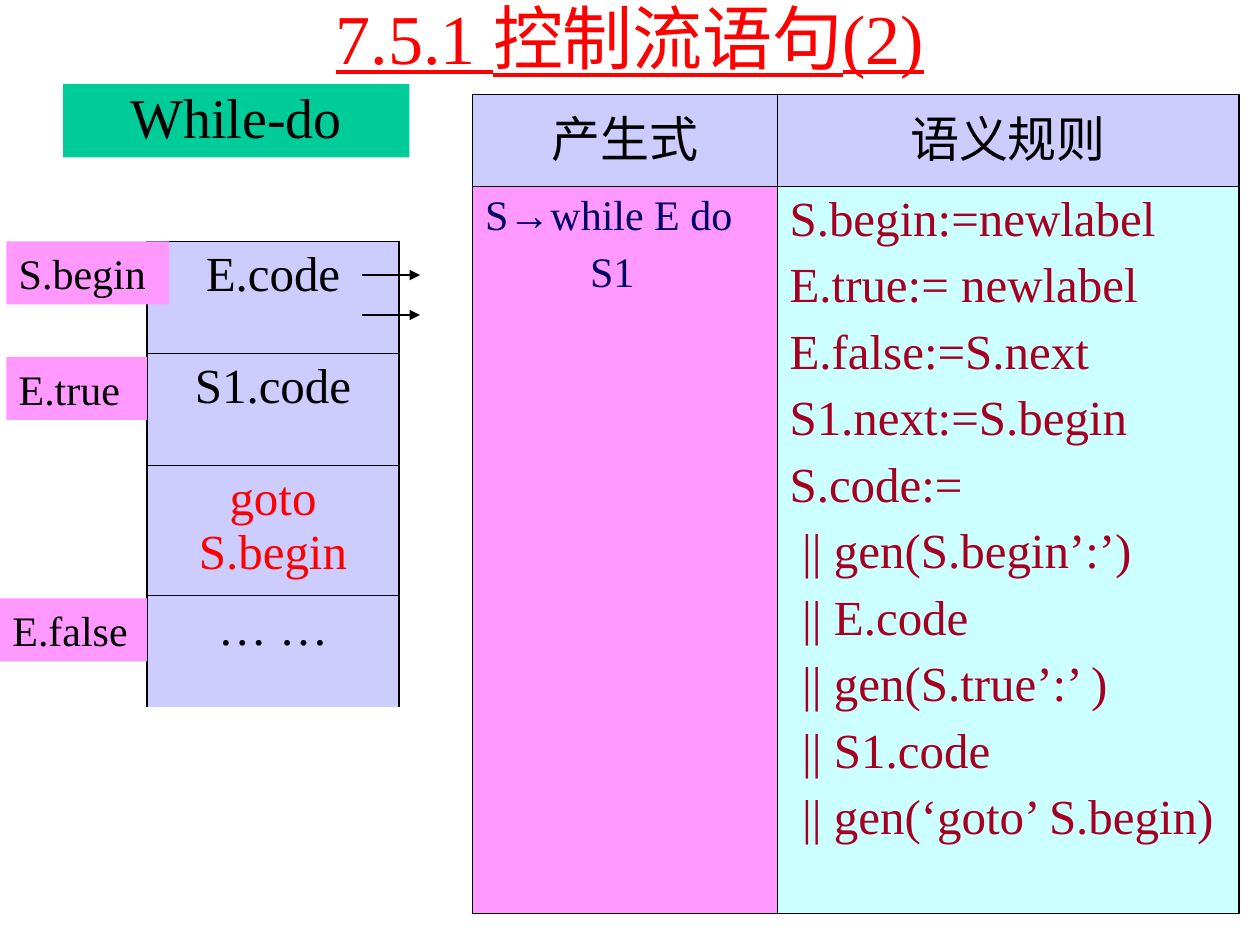
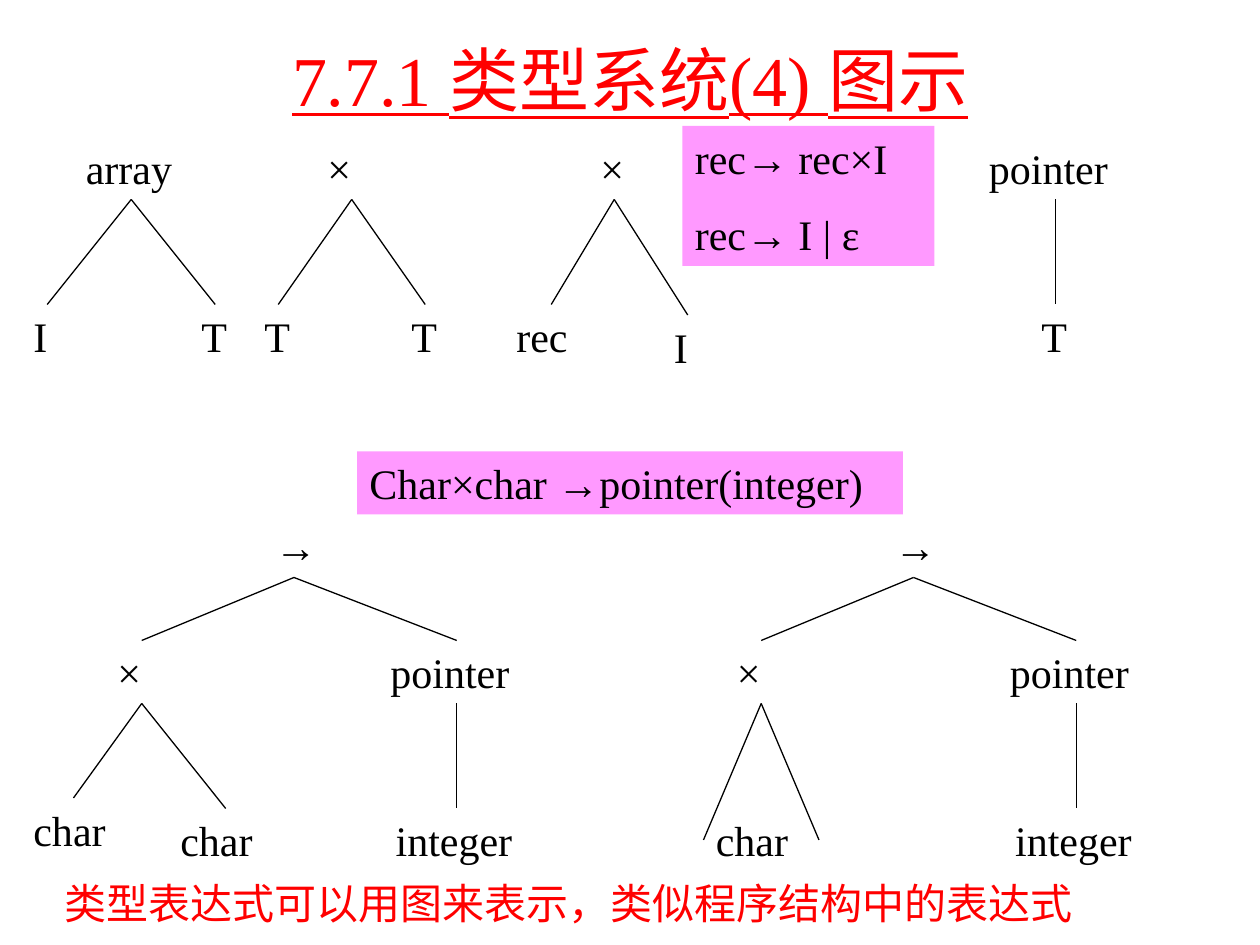
from dataclasses import dataclass
from lxml.etree import SubElement
from pptx import Presentation
from pptx.dml.color import RGBColor
from pptx.enum.shapes import MSO_CONNECTOR, MSO_SHAPE
from pptx.enum.text import MSO_ANCHOR, MSO_AUTO_SIZE, PP_ALIGN
from pptx.oxml import parse_xml
from pptx.oxml.ns import nsdecls, qn
from pptx.util import Inches, Pt


@dataclass(frozen=True)
class Theme:
    face: str = "Times New Roman"
    ink: str = "000000"
    red: str = "FF0000"
    navy: str = "000066"
    crimson: str = "A50021"
    green: str = "00CC99"
    lilac: str = "CCCCFF"
    pink: str = "FF99FF"
    aqua: str = "CCFFFF"
    title: int = 40
    heading: int = 32
    table: int = 28
    label: int = 24
    outer: float = 1.08
    inner: float = 0.45
    edge: float = 0.75


theme = Theme()
deck = Presentation()
deck.slide_width, deck.slide_height = Inches(10), Inches(7.5)
cell_size = deck.slide_width / 120


def write(frame, lines, size, color=theme.ink, align=PP_ALIGN.LEFT, before=0, indents=(), underline=None):
    for number, line in enumerate(lines):
        para = frame.paragraphs[0] if number == 0 else frame.add_paragraph()
        para.alignment = align
        para.space_before = Pt(before if number else 0)
        if number < len(indents) and indents[number]:
            para._p.get_or_add_pPr().set("marL", str(round(indents[number] * cell_size)))
        span = para.add_run()
        span.text = line
        span.font.color.rgb = RGBColor.from_string(color)
        for name, value in {"name": theme.face, "size": Pt(size), "underline": underline}.items():
            setattr(span.font, name, value)


def draw_line(page, *ends):
    line = page.shapes.add_connector(MSO_CONNECTOR.STRAIGHT, *(round(end * cell_size) for end in ends))
    line.line.color.rgb = RGBColor.from_string(theme.ink)
    line.line.width = Pt(theme.edge)
    SubElement(line._element.spPr, qn("a:effectLst"))
    return line


pages = []
for text, row, height in [("7.5.1 控制流语句(2)", 1, 5), ("7.7.1 类型系统(4) 图示", 4, 7)]:
    page = deck.slides.add_slide(deck.slide_layouts[5])
    title = page.shapes.title
    place = {"left": 9, "top": row, "width": 102, "height": height}
    for name, value in place.items():
        setattr(title, name, round(value * cell_size))
    frame = title.text_frame
    for name, value in {"auto_size": MSO_AUTO_SIZE.NONE, "vertical_anchor": MSO_ANCHOR.MIDDLE,
                        "word_wrap": True}.items():
        setattr(frame, name, value)
    write(frame, [text], theme.title, theme.red, PP_ALIGN.CENTER, underline=True)
    pages.append(page)
flow_page, tree_page = pages

center = PP_ALIGN.CENTER
left = PP_ALIGN.LEFT
rules = ["S.begin:=newlabel", "E.true:= newlabel", "E.false:=S.next", "S1.next:=S.begin", "S.code:=",
         "|| gen(S.begin’:’)", "|| E.code", "|| gen(S.true’:’ )", "|| S1.code", "|| gen(‘goto’ S.begin)"]
tables = [
    (45, 9, [29, 44], [8.75, 69.25], True, [
        [(["产生式"], theme.lilac, theme.table, theme.ink, center, ()),
         (["语义规则"], theme.lilac, theme.table, theme.ink, center, ())],
        [(["S→while E do", "S1"], theme.pink, theme.label, theme.navy, left, (0, 10)),
         (rules, theme.aqua, theme.table, theme.crimson, left, [0] * 5 + [1.2] * 5)]]),
    (14, 23, [24], [10.67, 10.67, 12.36, 10.67], False, [
        [([text], theme.lilac, theme.table, color, center, ())]
        for text, color in [("E.code", theme.ink), ("S1.code", theme.ink),
                            ("goto S.begin", theme.red), ("… …", theme.ink)]]),
]
for column, row, widths, heights, closed, contents in tables:
    size = [round(value * cell_size) for value in (column, row, sum(widths), sum(heights))]
    grid = flow_page.shapes.add_table(len(heights), len(widths), *size).table
    grid.first_row = grid.horz_banding = False
    for track, width in zip(grid.columns, widths):
        track.width = round(width * cell_size)
    for track, height in zip(grid.rows, heights):
        track.height = round(height * cell_size)
    for y, line in enumerate(contents):
        for x, (texts, fill, font_size, color, align, indents) in enumerate(line):
            cell = grid.cell(y, x)
            cell.fill.solid()
            cell.fill.fore_color.rgb = RGBColor.from_string(fill)
            write(cell.text_frame, texts, font_size, color, align, font_size / 4, indents)
            last_row, last_column = y == len(heights) - 1, x == len(widths) - 1
            outside = {"lnL": x == 0, "lnR": last_column, "lnT": y == 0, "lnB": last_row}
            for order, (side, is_outer) in enumerate(outside.items()):
                width = Pt(theme.outer if is_outer else theme.inner)
                hidden = side == "lnB" and last_row and not closed
                paint = "<a:noFill/>" if hidden else f'<a:solidFill><a:srgbClr val="{theme.ink}"/></a:solidFill>'
                border = parse_xml(f'<a:{side} {nsdecls("a")} w="{width}">{paint}</a:{side}>')
                cell._tc.get_or_add_tcPr().insert(order, border)

for row in (26.2, 30):
    arrow = draw_line(flow_page, 34.5, row, 40, row)
    SubElement(arrow.line._get_or_add_ln(), qn("a:tailEnd"), type="triangle")

labels = [
    (flow_page, "true", 0.6, 34, 13.4, 6, ["E.true"], theme.pink),
    (flow_page, "false", 0, 57, 14, 6, ["E.false"], theme.pink),
    (flow_page, "begin", 0.6, 23, 15.5, 6, ["S.begin"], theme.pink),
    (tree_page, "grammar", 65, 12, 24, 13.33, ["rec→ rec×I", "rec→ I | ε"], theme.pink),
    (tree_page, "type", 34, 43, 52, 6, ["Char×char →pointer(integer)"], theme.pink),
]
nodes = [
    ("array", 7, 13, 11, "array"), ("array index", 2, 29, 5, "I"), ("array item", 18, 29, 5, "T"),
    ("product", 30, 13, 7, "×"), ("product left", 24, 29, 5, "T"), ("product right", 38, 29, 5, "T"),
    ("record", 56, 13, 5, "×"), ("record rest", 48, 29, 9, "rec"), ("record item", 63, 30, 5, "I"),
    ("pointer", 93, 13, 15, "pointer"), ("pointer target", 98, 29, 5, "T"),
    ("char left", 2, 76, 10, "char"), ("char right", 16, 77, 11, "char"), ("char shared", 67, 77, 11, "char"),
]
links = [
    ("array", "array index", 0), ("array", "array item", 0),
    ("product", "product left", 0), ("product", "product right", 0),
    ("record", "record rest", 0), ("record", "record item", 0), ("pointer", "pointer target", 0),
    ("tree domain", "char left", 0), ("tree domain", "char right", 0),
    ("graph domain", "char shared", 1), ("graph domain", "char shared", 3),
]
for kind, shift in [("tree", 0), ("graph", 59)]:
    nodes += [(f"{kind} {part}", column + shift, row, width, text) for part, column, row, width, text in [
        ("root", 25, 49, 6, "→"), ("domain", 10, 61, 7, "×"),
        ("range", 36, 61, 15, "pointer"), ("target", 36.5, 77, 14, "integer")]]
    links += [(f"{kind} {parent}", f"{kind} {child}", 0) for parent, child in [
        ("root", "domain"), ("root", "range"), ("range", "target")]]
labels += [(tree_page, name, column, row, width, 6, [text], None) for name, column, row, width, text in nodes]

boxes = {}
for page, name, column, row, width, height, texts, fill in labels:
    place = [round(value * cell_size) for value in (column, row, width, height)]
    if fill:
        box = page.shapes.add_shape(MSO_SHAPE.RECTANGLE, *place)
        box.fill.solid()
        box.fill.fore_color.rgb = RGBColor.from_string(fill)
        box.line.fill.background()
        box.shadow.inherit = False
    else:
        box = page.shapes.add_textbox(*place)
    box.text_frame.word_wrap = True
    box.text_frame.vertical_anchor = MSO_ANCHOR.TOP
    write(box.text_frame, texts, theme.label, before=15)
    boxes[name] = box

for parent, child, side in links:
    edge = draw_line(tree_page, 0, 0, 0, 0)
    edge.begin_connect(boxes[parent], 2)
    edge.end_connect(boxes[child], side)

heading = flow_page.shapes.add_shape(MSO_SHAPE.RECTANGLE, *(round(value * cell_size) for value in (6, 8, 33, 7)))
heading.fill.solid()
heading.fill.fore_color.rgb = RGBColor.from_string(theme.green)
heading.line.fill.background()
heading.shadow.inherit = False
heading.text_frame.vertical_anchor = MSO_ANCHOR.TOP
write(heading.text_frame, ["While-do"], theme.heading, align=center)
heading.text_frame.paragraphs[0].line_spacing = 0.9

summary = tree_page.shapes.add_textbox(*(round(value * cell_size) for value in (5, 83, 98.4, 6)))
summary.text_frame.word_wrap = False
write(summary.text_frame, ["类型表达式可以用图来表示，类似程序结构中的表达式"], theme.label, theme.red)

deck.save("out.pptx")
